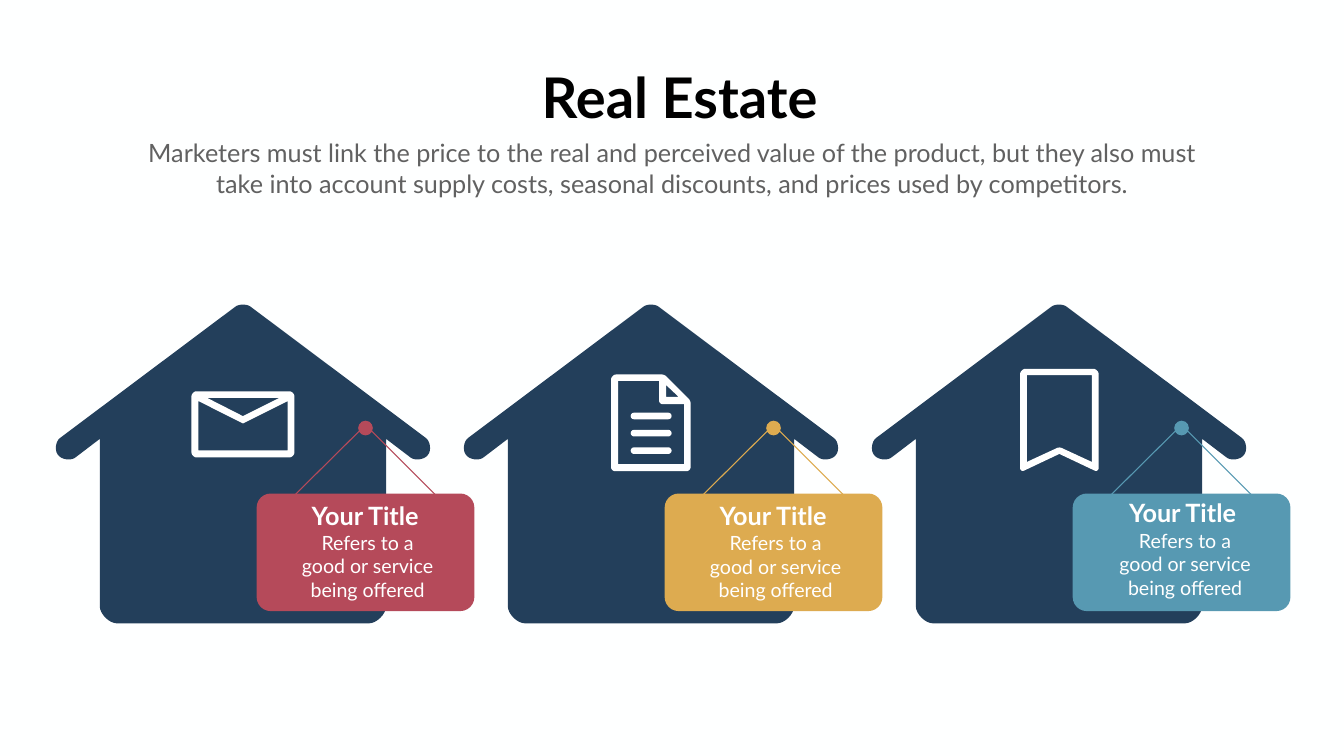
from dataclasses import dataclass
from math import hypot
from typing import NamedTuple

from pptx import Presentation
from pptx.dml.color import RGBColor
from pptx.enum.shapes import MSO_SHAPE
from pptx.enum.text import MSO_ANCHOR, MSO_AUTO_SIZE, PP_ALIGN
from pptx.util import Pt

ROUND_RECT, OVAL = MSO_SHAPE.ROUNDED_RECTANGLE, MSO_SHAPE.OVAL
LEFT, CENTER = PP_ALIGN.LEFT, PP_ALIGN.CENTER
TOP, NO_FIT = MSO_ANCHOR.TOP, MSO_AUTO_SIZE.NONE

FONT = "Lato"
COLORS = {
    "background": "FEFFFF", "title": "000000", "subtitle": "616161",
    "house": "233F5B", "white": "FFFFFF",
    "red": "B54A5A", "gold": "DDAB50", "blue": "5799B2",
}
HOUSE_LEFT, HOUSE_TOP, HOUSE_PITCH = 77, 434, 582.75
HOUSE_AXIS = 270
CURVE_STEPS = 8


class Corner(NamedTuple):
    x: float
    y: float
    trim: float = 0


class Box(NamedTuple):
    x: float
    y: float
    w: float
    h: float


@dataclass
class House:
    color: str
    icon: list[list[Corner]]
    text_dx: float = 0
    text_dy: float = 0
    bars: tuple[float, ...] = ()


RIGHT_HALF = [
    Corner(HOUSE_AXIS, -4, 13), Corner(545, 202, 17), Corner(523, 230, 17),
    Corner(474.5, 193), Corner(474.5, 456.5, 24.5),
]
HOUSE_OUTLINE = RIGHT_HALF + [
    Corner(2 * HOUSE_AXIS - c.x, c.y, c.trim) for c in RIGHT_HALF[:0:-1]
]
ENVELOPE = [
    [Corner(196.5, 125, 7), Corner(343.5, 125, 7),
     Corner(343.5, 219.5, 7), Corner(196.5, 219.5, 7)],
    [Corner(219, 134.5), Corner(322, 134.5), Corner(270, 160.5)],
    [Corner(206.5, 139), Corner(270, 171), Corner(334, 139),
     Corner(334, 209.5), Corner(206.5, 209.5)],
]
DOCUMENT = [
    [Corner(213, 101, 7), Corner(289, 101, 3), Corner(326.5, 138.5, 3),
     Corner(326.5, 239, 5), Corner(213, 239, 5)],
    [Corner(291.5, 116), Corner(309.5, 133), Corner(291.5, 133)],
    [Corner(223, 110), Corner(281.5, 110), Corner(281.5, 143.5, 5),
     Corner(317.5, 143.5), Corner(317.5, 229), Corner(223, 229)],
]
BOOKMARK = [
    [Corner(214.5, 93, 7), Corner(326.5, 93, 7), Corner(326.5, 241, 6),
     Corner(270.5, 214.5), Corner(214.5, 241, 6)],
    [Corner(224, 102), Corner(317, 102), Corner(317, 226),
     Corner(270.5, 204.5, 3), Corner(224, 226)],
]
HOUSES = [
    House("red", ENVELOPE),
    House("gold", DOCUMENT, text_dy=1, bars=(155.5, 180, 205)),
    House("blue", BOOKMARK, text_dx=2, text_dy=-3),
]


def rgb(name: str) -> RGBColor:
    return RGBColor.from_string(COLORS[name])


def toward(a: Corner, b: Corner) -> tuple[float, float]:
    t = a.trim / hypot(b.x - a.x, b.y - a.y)
    return a.x + t * (b.x - a.x), a.y + t * (b.y - a.y)


def round_off(corners: list[Corner]) -> list[tuple[float, float]]:
    points = []
    for i, c in enumerate(corners):
        if not c.trim:
            points.append((c.x, c.y))
            continue
        start = toward(c, corners[i - 1])
        end = toward(c, corners[(i + 1) % len(corners)])
        for step in range(CURVE_STEPS + 1):
            t = step / CURVE_STEPS
            a, b, d = (1 - t) ** 2 * (1 + 0.65 * t), 1.35 * t * (1 - t), t * t * (1.65 - 0.65 * t)
            b = 1 - a - d
            points.append(tuple(a * p + b * q + d * r
                                for p, q, r in zip(start, (c.x, c.y), end)))
    return points


def paint(s, color: str) -> None:
    s.shadow.inherit = False
    s.fill.solid()
    s.fill.fore_color.rgb = rgb(color)
    s.line.fill.background()


def draw_outline(shapes, contours, dx: float, closed: bool = True):
    builder = None
    for contour in contours:
        points = [(Pt(x + dx), Pt(y + HOUSE_TOP)) for x, y in contour]
        if builder is None:
            builder = shapes.build_freeform(*points[0], scale=1.0)
        else:
            builder.move_to(*points[0])
        builder.add_line_segments(points[1:], close=closed)
    return builder.convert_to_shape()


def draw_preset(shapes, kind, box: Box, dx: float, color: str, rounding: float = 0) -> None:
    s = shapes.add_shape(kind, Pt(box.x + dx), Pt(box.y + HOUSE_TOP), Pt(box.w), Pt(box.h))
    if rounding:
        s.adjustments[0] = rounding
    paint(s, color)


def write(s, text: str, size: float, color: str, bold: bool = False, align=CENTER) -> None:
    tf = s.text_frame
    tf.text = text
    tf.word_wrap, tf.auto_size, tf.vertical_anchor = True, NO_FIT, TOP
    for p in tf.paragraphs:
        p.alignment = align
        p.space_before = Pt(0)
        for r in p.runs:
            r.font.name, r.font.size, r.font.bold = FONT, Pt(size), bold
            r.font.color.rgb = rgb(color)


def place(s, box: Box) -> None:
    s.left, s.top, s.width, s.height = map(Pt, box)


def draw_house(shapes, house: House, dx: float) -> None:
    paint(draw_outline(shapes, [round_off(HOUSE_OUTLINE)], dx), "house")

    cord = draw_outline(shapes, [[(326, 291), (445, 173), (563, 291)]], dx, closed=False)
    cord.shadow.inherit = False
    cord.fill.background()
    cord.line.color.rgb = rgb(house.color)
    cord.line.width = Pt(1.56)

    draw_preset(shapes, ROUND_RECT, Box(289.5, 271, 311, 168), dx, house.color, 0.12)
    draw_preset(shapes, OVAL, Box(434.5, 167, 21, 21), dx, house.color)

    paint(draw_outline(shapes, [round_off(c) for c in house.icon], dx), "white")
    for y in house.bars:
        draw_preset(shapes, ROUND_RECT, Box(241, y, 58.5, 9.5), dx, "white", 0.5)

    x, y = dx + house.text_dx, HOUSE_TOP + house.text_dy
    heading = shapes.add_textbox(Pt(x + 361), Pt(y + 276.5), Pt(174), Pt(37))
    write(heading, "Your Title", 36, "white", bold=True, align=LEFT)
    detail = shapes.add_textbox(Pt(x + 344), Pt(y + 320.5), Pt(208), Pt(105))
    write(detail, "Refers to a\ngood or service\nbeing offered", 28, "white")


def main() -> None:
    prs = Presentation()
    prs.slide_width, prs.slide_height = Pt(1919.5), Pt(1080)
    slide = prs.slides.add_slide(prs.slide_layouts[0])
    slide.background.fill.solid()
    slide.background.fill.fore_color.rgb = rgb("background")

    title, subtitle = slide.placeholders
    place(title, Box(759.5, 85.5, 422.5, 104.5))
    write(title, "Real Estate", 80, "title", bold=True)
    place(subtitle, Box(193, 193, 1533.5, 94.5))
    write(subtitle, "Marketers must link the price to the real and perceived value of the "
          "product, but they also must take into account supply costs, seasonal discounts, "
          "and prices used by competitors.", 36, "subtitle")

    for i, house in enumerate(HOUSES):
        draw_house(slide.shapes, house, HOUSE_LEFT + i * HOUSE_PITCH)
    prs.save("out.pptx")


if __name__ == "__main__":
    main()
